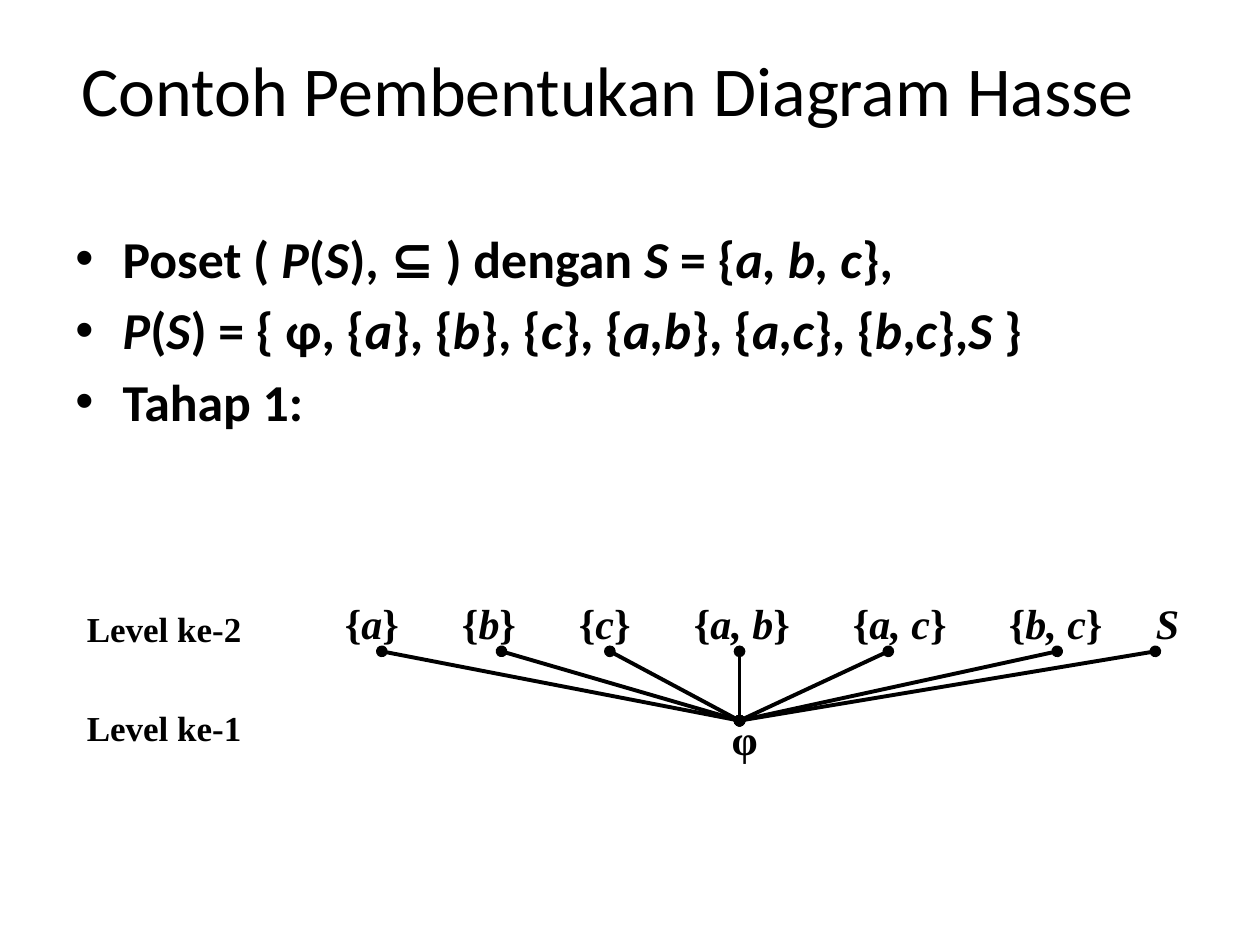
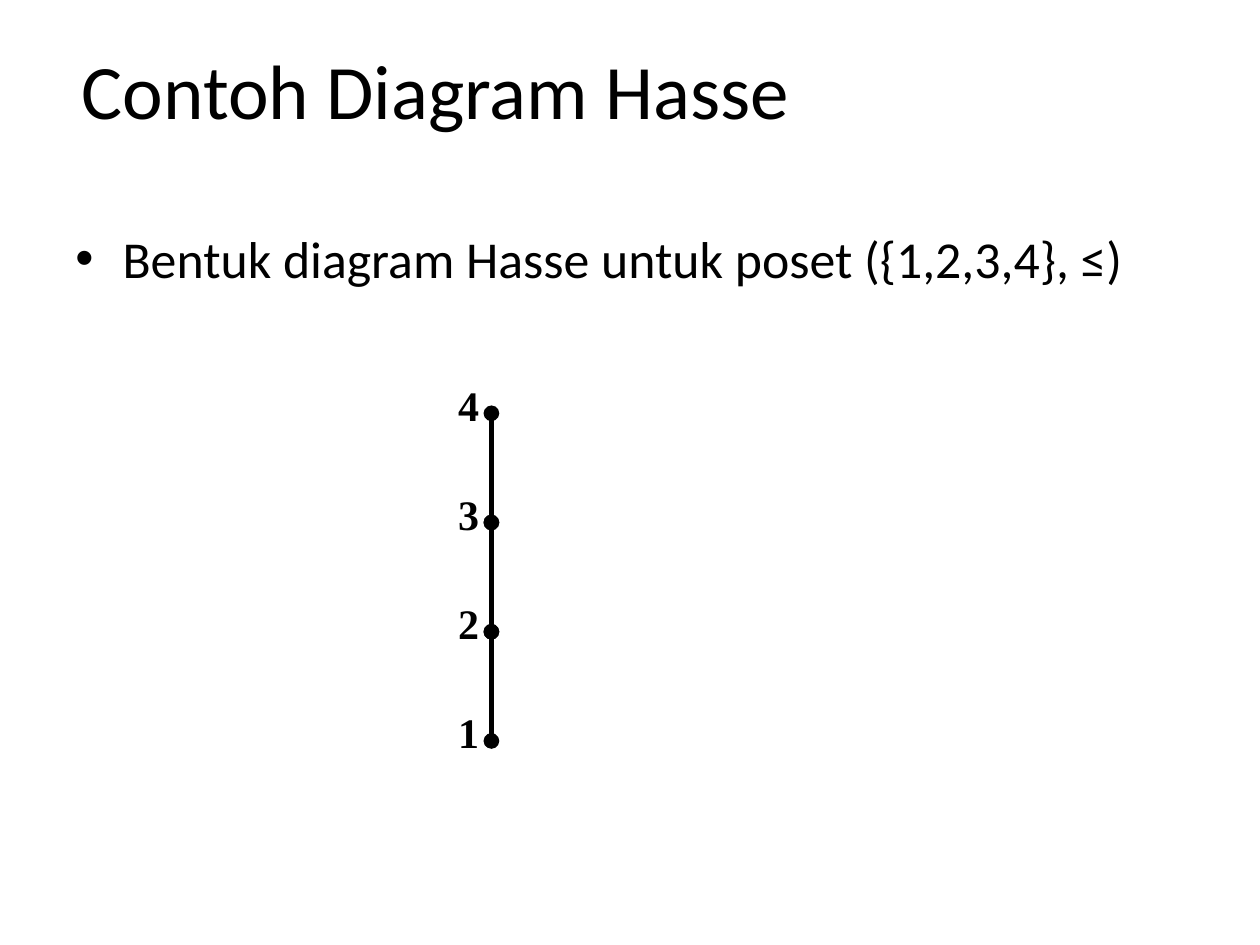
from dataclasses import dataclass
from itertools import pairwise

from lxml import etree
from pptx import Presentation
from pptx import util as u
from pptx.dml.color import RGBColor
from pptx.enum import shapes, text
from pptx.oxml import ns

Pt = u.Pt
LEFT, CENTER, RIGHT = text.PP_ALIGN.LEFT, text.PP_ALIGN.CENTER, text.PP_ALIGN.RIGHT


@dataclass(frozen=True)
class Theme:
    ink: RGBColor = RGBColor(0, 0, 0)
    heading_font: str = "Calibri"
    diagram_font: str = "Times New Roman"
    body_size: float = 29.6
    element_size: float = 24
    level_size: float = 20
    body_gap: float = 5.3
    body_indent: float = 27


class Deck:
    def __init__(self, theme):
        self.theme = theme
        self.presentation = Presentation()
        self.presentation.slide_width = Pt(720)
        self.presentation.slide_height = Pt(540)
        self.slide = None

    def new_slide(self, title, title_size):
        layout = self.presentation.slide_layouts[6]
        self.slide = self.presentation.slides.add_slide(layout)
        frame = self.frame(39.6, 5.76, 648, 90)
        frame.vertical_anchor = text.MSO_ANCHOR.MIDDLE
        self.runs(frame.paragraphs[0], title, self.theme.heading_font, title_size)

    def frame(self, left, top, width, height):
        box = self.slide.shapes.add_textbox(Pt(left), Pt(top), Pt(width), Pt(height))
        box.text_frame.word_wrap = True
        return box.text_frame

    def runs(self, paragraph, marked, font, size, bold=False):
        """Add text in which *asterisks* enclose italic parts."""
        for index, part in enumerate(marked.split("*")):
            if part:
                run = paragraph.add_run()
                run.text = part
                run.font.name, run.font.size = font, Pt(size)
                run.font.bold, run.font.italic = bold, index % 2 == 1
                run.font.color.rgb = self.theme.ink

    def bullets(self, height, statements, bold=False):
        frame = self.frame(36, 126, 648, height)
        for index, statement in enumerate(statements):
            paragraph = frame.add_paragraph() if index else frame.paragraphs[0]
            properties = paragraph._p.get_or_add_pPr()
            indent = Pt(self.theme.body_indent)
            properties.set("marL", str(indent))
            properties.set("indent", str(-indent))
            etree.SubElement(properties, ns.qn("a:buFont"), typeface="Arial")
            etree.SubElement(properties, ns.qn("a:buChar"), char="•")
            if index:
                paragraph.space_before = Pt(self.theme.body_gap)
            self.runs(paragraph, statement, self.theme.heading_font,
                      self.theme.body_size, bold)

    def label(self, left, top, width, height, marked, size, align=LEFT, tabs=()):
        frame = self.frame(left, top, width, height)
        frame.auto_size = text.MSO_AUTO_SIZE.SHAPE_TO_FIT_TEXT
        paragraph = frame.paragraphs[0]
        if tabs:
            stops = etree.SubElement(paragraph._p.get_or_add_pPr(), ns.qn("a:tabLst"))
            for position in tabs:
                etree.SubElement(stops, ns.qn("a:tab"), pos=str(Pt(position)), algn="l")
        paragraph.alignment = align
        self.runs(paragraph, marked, self.theme.diagram_font, size, bold=True)

    def edge(self, start, end, width):
        """Draw a line with a dot at each end."""
        line = self.slide.shapes.add_connector(
            shapes.MSO_CONNECTOR.STRAIGHT, *map(Pt, (*start, *end)))
        line.line.color.rgb = self.theme.ink
        line.line.width = Pt(width)
        outline = line.line._get_or_add_ln()
        for tip in ("a:headEnd", "a:tailEnd"):
            etree.SubElement(outline, ns.qn(tip), type="oval")
        etree.SubElement(line._element.spPr, ns.qn("a:effectLst"))


def power_set_slide(deck):
    theme = deck.theme
    deck.new_slide("Contoh Pembentukan Diagram Hasse", 40)
    deck.bullets(113.8, [
        "Poset ( *P*(*S*), ⊆ ) dengan *S *= {*a, b, c*},",
        "*P*(*S*) = { φ, {*a*}, {*b*}, {*c*}, {*a,b*}, {*a,c*}, {*b*,*c*},*S* }",
        "Tahap 1:",
    ], bold=True)

    # Levels and their elements
    for level, top in ((2, 343.4), (1, 400.3)):
        deck.label(42.5, top, 130.3, 31, f"Level ke-{level}", theme.level_size)
    subsets = ["{*a*}", "{*b*}", "{*c*}", "{*a, b*}", "{*a, c*}", "{*b, c*}", "*S*"]
    deck.label(190, 337.7, 499, 36, "\t".join(subsets), theme.element_size,
               tabs=(66.9, 133.7, 199.4, 290.3, 379.4, 463.4))
    deck.label(201.6, 403.9, 447.8, 36, "φ", theme.element_size, CENTER)

    # Edges from the empty set to every other subset
    empty_set = (422.6, 411.8)
    for subset_x in (218.2, 286.6, 348.5, 422.6, 507.6, 604.1, 660.2):
        deck.edge(empty_set, (subset_x, 372.2), 2.25)


def chain_slide(deck):
    deck.new_slide("Contoh Diagram Hasse", 44)
    deck.bullets(72.7, ["Bentuk diagram Hasse untuk poset ({1,2,3,4}, ≤)"])

    # Chain 1 to 4, from the bottom up
    chain_x, bottom, step = 280.8, 423.4, 62.4
    nodes = [(chain_x, bottom - step * index) for index in range(4)]
    for lower, upper in pairwise(nodes):
        deck.edge(lower, upper, 3)
    for number, (x, y) in enumerate(nodes, 1):
        deck.label(x - 39.6, y - 23, 39.6, 36, str(number),
                   deck.theme.element_size, RIGHT)


def main():
    deck = Deck(Theme())
    power_set_slide(deck)
    chain_slide(deck)
    deck.presentation.save("out.pptx")


if __name__ == "__main__":
    main()
